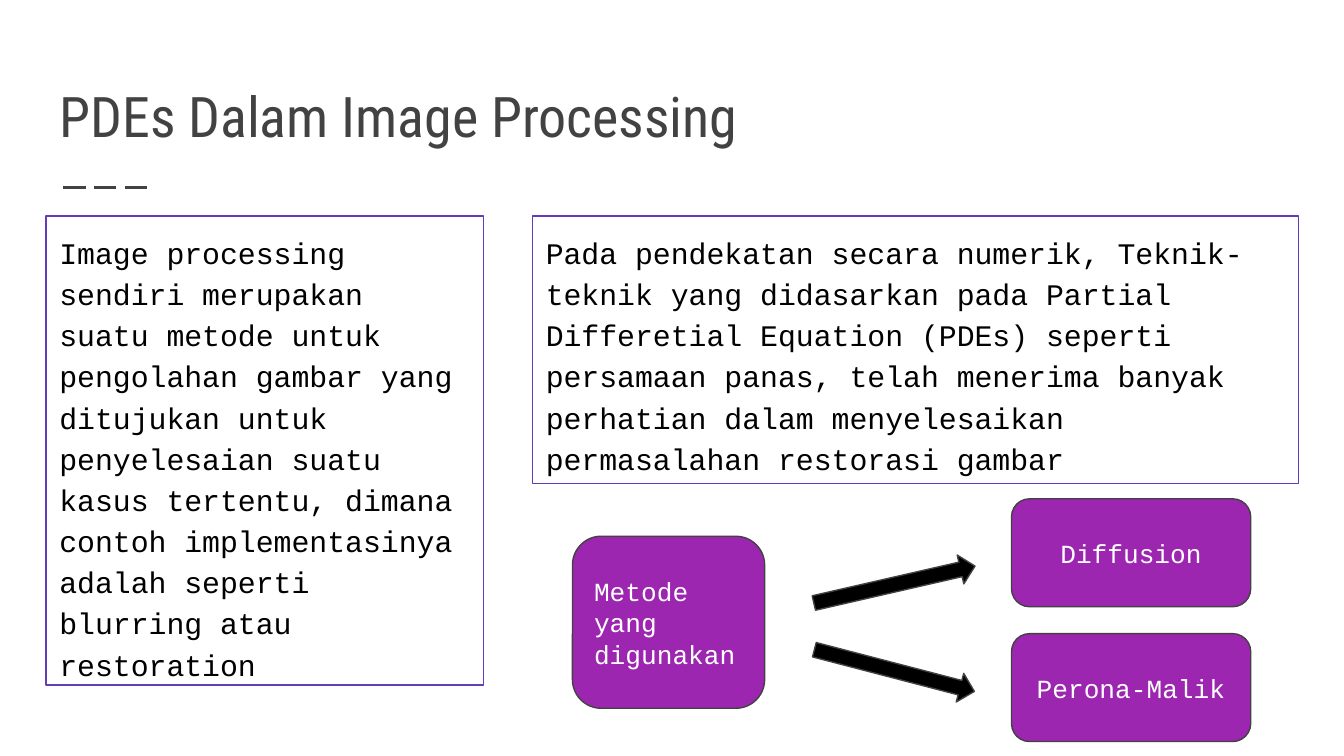
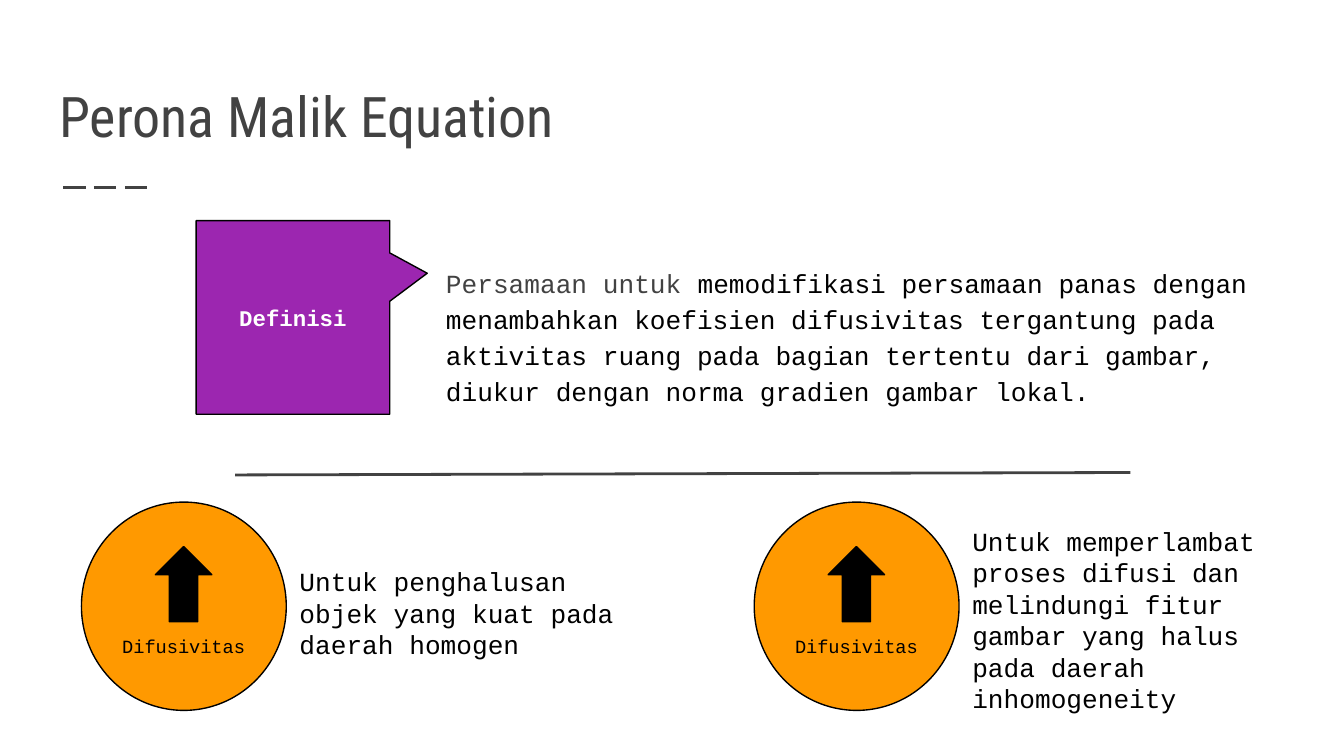
"""Build two slides on PDEs in image processing and the Perona-Malik equation."""
import pptx
import pptx.util
import pptx.dml.color
import pptx.enum.dml
import pptx.enum.shapes
import pptx.enum.text
import lxml.etree

hues = {"ink": "000000", "gray": "424242", "white": "FFFFFF",
        "edge": "673AB7", "plum": "9C26B0", "gold": "FF9900"}
tint = {name: pptx.dml.color.RGBColor.from_string(code) for name, code in hues.items()}
form = pptx.enum.shapes.MSO_SHAPE
side = pptx.enum.text.PP_ALIGN
hold = pptx.enum.text.MSO_ANCHOR
mono = "Courier New"

deck = pptx.Presentation()
deck.slide_width = pptx.util.Inches(10)
deck.slide_height = pptx.util.Inches(5.625)
col = deck.slide_width / 100
row = deck.slide_height / 56.25


def draw(slide, spot, kind=None, fill=None, edge=None, text=(), size=14, hue="ink",
         face=mono, align=side.LEFT, anchor=hold.TOP, lead=None, after=None):
    place = [round(part * unit) for part, unit in zip(spot, (col, row, col, row))]
    if kind is None:
        shape = slide.shapes.add_textbox(*place)
    else:
        shape = slide.shapes.add_shape(kind, *place)
        shape.shadow.inherit = False
        if fill:
            shape.fill.solid()
            shape.fill.fore_color.rgb = tint[fill]
        else:
            shape.fill.background()
        shape.line.color.rgb = tint[edge]
        shape.line.width = pptx.util.Pt(0.75)
    frame = shape.text_frame
    frame.word_wrap = True
    frame.vertical_anchor = anchor
    frame.margin_left = frame.margin_right = round(col)
    frame.margin_top = frame.margin_bottom = round(row)
    for num, words in enumerate(text):
        para = frame.add_paragraph() if num else frame.paragraphs[0]
        para.text = words
        para.alignment = align
        para.line_spacing = lead
        para.space_after = after
        para.font.name = face
        para.font.size = pptx.util.Pt(size)
        para.font.color.rgb = tint[hue]
    return shape


def rule(slide, left, top, right, low):
    line = slide.shapes.add_connector(
        pptx.enum.shapes.MSO_CONNECTOR.STRAIGHT,
        round(left * col), round(top * row), round(right * col), round(low * row))
    line.line.color.rgb = tint["gray"]
    line.line.width = pptx.util.Pt(1.5)
    lxml.etree.SubElement(line.line._get_or_add_ln().getparent(),
                          pptx.oxml.ns.qn("a:effectLst"))
    return line


pages = []
for title in ("PDEs Dalam Image Processing", "Perona Malik Equation"):
    page = deck.slides.add_slide(deck.slide_layouts[6])
    dash = rule(page, 4.7, 13.94, 11.4, 13.94)
    dash.line.dash_style = pptx.enum.dml.MSO_LINE.LONG_DASH
    draw(page, (3.43, 4.1, 93.2, 8), text=[title], size=30, hue="gray",
         face="Roboto Condensed", anchor=hold.BOTTOM)
    pages.append(page)
use, define = pages
body = {"lead": 1.15, "after": pptx.util.Pt(16)}

panels = (
    (3.43, 32.54, 34.9,
     "Image processing sendiri merupakan suatu metode untuk pengolahan gambar yang "
     "ditujukan untuk penyelesaian suatu kasus tertentu, dimana contoh "
     "implementasinya adalah seperti blurring atau restoration"),
    (39.63, 57, 19.9,
     "Pada pendekatan secara numerik, Teknik-teknik yang didasarkan pada Partial "
     "Differetial Equation (PDEs) seperti persamaan panas, telah menerima banyak "
     "perhatian dalam menyelesaikan permasalahan restorasi gambar"),
)
for left, wide, high, words in panels:
    draw(use, (left, 16.06, wide, high), form.RECTANGLE, edge="edge",
         text=[words], size=16, **body)

nodes = (
    ((42.6, 39.9, 14.3, 12.8), "Metode yang digunakan", side.LEFT),
    ((75.26, 37.12, 17.8, 8.03), "Diffusion", side.CENTER),
    ((75.26, 47.15, 17.8, 8.03), "Perona-Malik", side.CENTER),
)
for spot, words, align in nodes:
    draw(use, spot, form.FLOWCHART_ALTERNATE_PROCESS, "plum", "gray",
         [words], hue="white", align=align, anchor=hold.MIDDLE)
for top, turn in ((42.4, 347.1), (48.8, 14.6)):
    arrow = draw(use, (60.4, top, 12.3, 2.2), form.RIGHT_ARROW, "ink", "gray")
    arrow.rotation = turn

note = draw(define, (32.2, 18.53, 63, 13.2), text=["Persamaan untuk "], **body)
para = note.text_frame.paragraphs[0]
para.runs[0].font.color.rgb = tint["gray"]
para.add_run().text = (
    "memodifikasi persamaan panas dengan menambahkan koefisien difusivitas tergantung "
    "pada aktivitas ruang pada bagian tertentu dari gambar, diukur dengan norma "
    "gradien gambar lokal.")

label = draw(define, (14.6, 16.42, 14.4, 14.4), form.ROUNDED_RECTANGULAR_CALLOUT,
             "plum", "ink", ["Definisi"], 12, "white",
             align=side.CENTER, anchor=hold.MIDDLE)
label.text_frame.paragraphs[0].font.bold = True
for num, value in enumerate((0.694, -0.228, 0)):
    label.adjustments[num] = value
rule(define, 17.5, 35.34, 84.1, 35.16)

cases = (
    (6.06, 41.1, ["Untuk penghalusan objek yang kuat pada daerah homogen"]),
    (56.12, 38.1, ["Untuk memperlambat proses difusi dan melindungi fitur gambar yang halus",
                   "pada daerah inhomogeneity"]),
)
for left, top, words in cases:
    draw(define, (left, 37.36, 15.24, 15.5), form.OVAL, "gold", "ink")
    draw(define, (left + 5.5, 40.67, 4.2, 5.6), form.UP_ARROW, "ink", "ink")
    draw(define, (left + 1.45, 46.42, 12.3, 3.7), text=["Difusivitas"], size=10,
         align=side.CENTER)
    draw(define, (left + 15.24, top, 25.8, 8), text=words)

deck.save("out.pptx")
